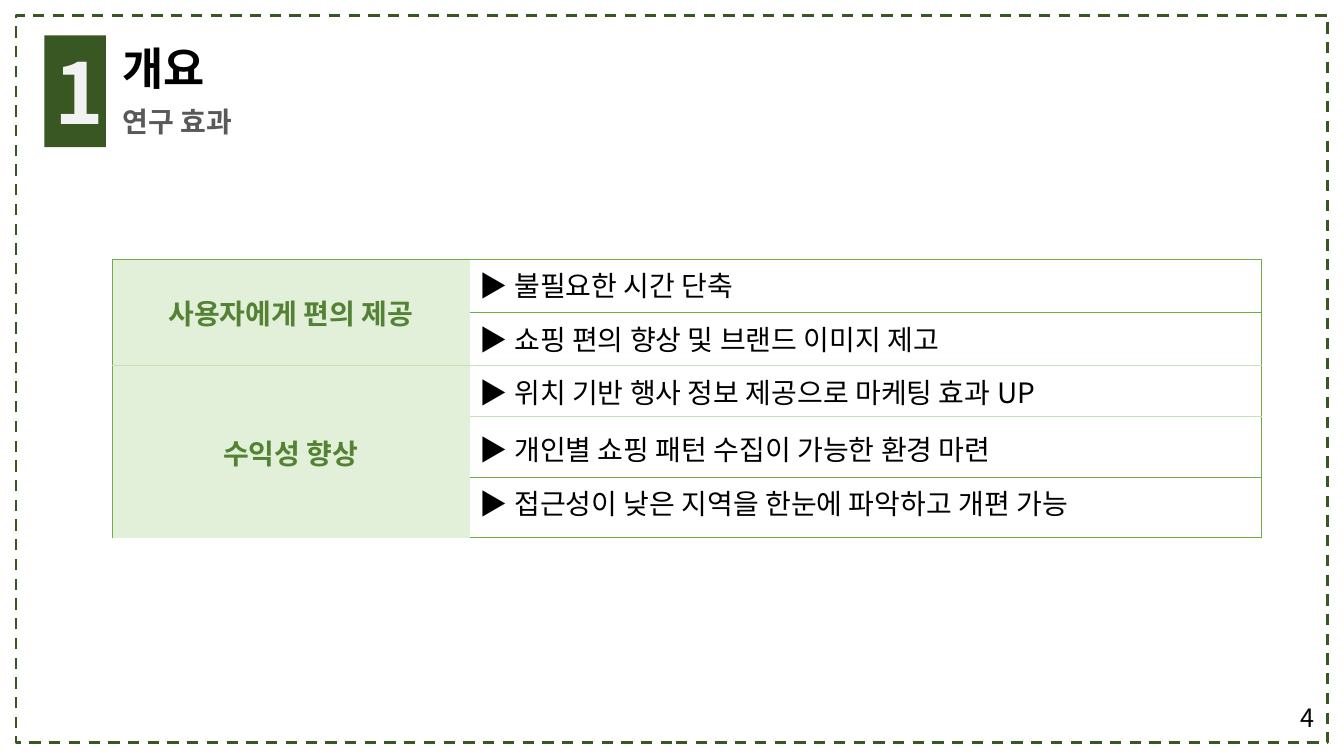
from dataclasses import dataclass

from lxml import etree
from pptx import Presentation
from pptx import util as u
from pptx.dml.color import RGBColor
from pptx.enum import dml, shapes, text
from pptx.oxml.ns import qn


@dataclass(frozen=True)
class Theme:
    font: str = "Noto Sans CJK KR"
    ink: str = "000000"
    muted: str = "595959"
    dark: str = "385723"
    accent: str = "548235"
    line: str = "70AD47"
    pale_line: str = "C5E0B4"
    pale: str = "E2F0D9"
    paper: str = "FFFFFF"
    off_white: str = "F2F2F2"
    badge_size: int = 60
    title_size: int = 32
    body_size: int = 20
    page_size: int = 18


theme = Theme()


def write(frame, words, size=theme.body_size, color=theme.ink, bold=False,
          align=text.PP_ALIGN.LEFT, anchor=text.MSO_ANCHOR.TOP):
    frame.word_wrap = True
    frame.vertical_anchor = anchor
    paragraph = frame.paragraphs[0]
    paragraph.alignment = align
    run = paragraph.add_run()
    run.text = words
    run.font.size, run.font.bold = u.Pt(size), bold
    run.font.name = theme.font
    run.font.color.rgb = RGBColor.from_string(color)
    # Hangul takes its typeface from the East Asian font slot
    etree.SubElement(run.font._element, qn("a:ea"), typeface=theme.font)


def set_borders(cell, edges):
    """Draw left, right, top and bottom edges; each is (colour, points) or None."""
    properties = cell._tc.get_or_add_tcPr()
    for place, (side, edge) in enumerate(zip("LRTB", edges)):
        border = etree.Element(qn(f"a:ln{side}"))
        properties.insert(place, border)
        if edge:
            color, points = edge
            border.set("w", str(u.Pt(points)))
            fill = etree.SubElement(border, qn("a:solidFill"))
            etree.SubElement(fill, qn("a:srgbClr"), val=color)
        else:
            border.set("w", "0")
            etree.SubElement(border, qn("a:noFill"))


deck = Presentation()
deck.slide_width, deck.slide_height = u.Inches(13.33), u.Inches(7.5)
# One column and one row are a hundredth of the slide
COL, ROW = deck.slide_width / 100, deck.slide_height / 100
slide = deck.slides.add_slide(deck.slide_layouts[5])

# Effects table
effects = [
    ("사용자에게 편의 제공", ["불필요한 시간 단축", "쇼핑 편의 향상 및 브랜드 이미지 제고"]),
    ("수익성 향상", ["위치 기반 행사 정보 제공으로 마케팅 효과 UP",
                "개인별 쇼핑 패턴 수집이 가능한 환경 마련",
                "접근성이 낮은 지역을 한눈에 파악하고 개편 가능"]),
]
row_heights = [7.07, 7.07, 6.27, 8, 8]
column_widths = [26.63, 58.89]
table = slide.shapes.add_table(
    len(row_heights), len(column_widths), int(8.33 * COL), int(34.27 * ROW),
    int(sum(column_widths) * COL), int(sum(row_heights) * ROW)).table
table.first_row = table.horz_banding = False
for column, width in zip(table.columns, column_widths):
    column.width = int(width * COL)
for row, height in zip(table.rows, row_heights):
    row.height = int(height * ROW)

green, pale = (theme.line, 0.5), (theme.pale_line, 1)
rules = [green, green, pale, pale, green, green]
first = 0
for group, benefits in effects:
    last = first + len(benefits) - 1
    heading = table.cell(first, 0)
    heading.merge(table.cell(last, 0))
    write(heading.text_frame, group, color=theme.accent, bold=True,
          align=text.PP_ALIGN.CENTER)
    heading.vertical_anchor = text.MSO_ANCHOR.MIDDLE
    for index, benefit in enumerate(benefits, first):
        group_cell, benefit_cell = table.cell(index, 0), table.cell(index, 1)
        write(benefit_cell.text_frame, f"▶ {benefit}")
        for cell, color in ((group_cell, theme.pale), (benefit_cell, theme.paper)):
            cell.fill.solid()
            cell.fill.fore_color.rgb = RGBColor.from_string(color)
        set_borders(group_cell, (green, None,
                                 rules[index] if index == first else None,
                                 rules[index + 1] if index == last else None))
        set_borders(benefit_cell, (None, green, rules[index], rules[index + 1]))
    first = last + 1
table.cell(3, 1).margin_top = u.Inches(0.11)

# Dashed page frame
page_frame = slide.shapes.add_shape(
    shapes.MSO_SHAPE.RECTANGLE, int(1.2 * COL), int(2 * ROW),
    int(97.6 * COL), int(96.27 * ROW))
page_frame.shadow.inherit = False
page_frame.fill.background()
page_frame.line.color.rgb = RGBColor.from_string(theme.dark)
page_frame.line.width = u.Pt(2)
page_frame.line.dash_style = dml.MSO_LINE.DASH

# Heading: title, subtitle and section number
title = slide.shapes.title
title.left, title.top = int(8.33 * COL), int(4.67 * ROW)
title.width, title.height = int(8.25 * COL), int(8.53 * ROW)
title.text_frame.auto_size = text.MSO_AUTO_SIZE.NONE
write(title.text_frame, "개요", size=theme.title_size, bold=True)

subtitle = slide.shapes.add_textbox(
    int(8.4 * COL), int(13.2 * ROW), int(15.53 * COL), int(5.87 * ROW))
write(subtitle.text_frame, "연구 효과", color=theme.muted, bold=True)

section = slide.shapes.add_shape(
    shapes.MSO_SHAPE.RECTANGLE, int(3.3 * COL), int(4.67 * ROW),
    int(4.58 * COL), int(14.8 * ROW))
section.shadow.inherit = False
section.fill.solid()
section.fill.fore_color.rgb = RGBColor.from_string(theme.dark)
section.line.fill.background()
write(section.text_frame, "1", size=theme.badge_size, color=theme.off_white,
      bold=True, align=text.PP_ALIGN.CENTER, anchor=text.MSO_ANCHOR.MIDDLE)

page_number = slide.shapes.add_textbox(
    int(94.52 * COL), int(89.73 * ROW), int(5.48 * COL), int(10.27 * ROW))
write(page_number.text_frame, "4", size=theme.page_size,
      align=text.PP_ALIGN.CENTER, anchor=text.MSO_ANCHOR.MIDDLE)

deck.save("out.pptx")
